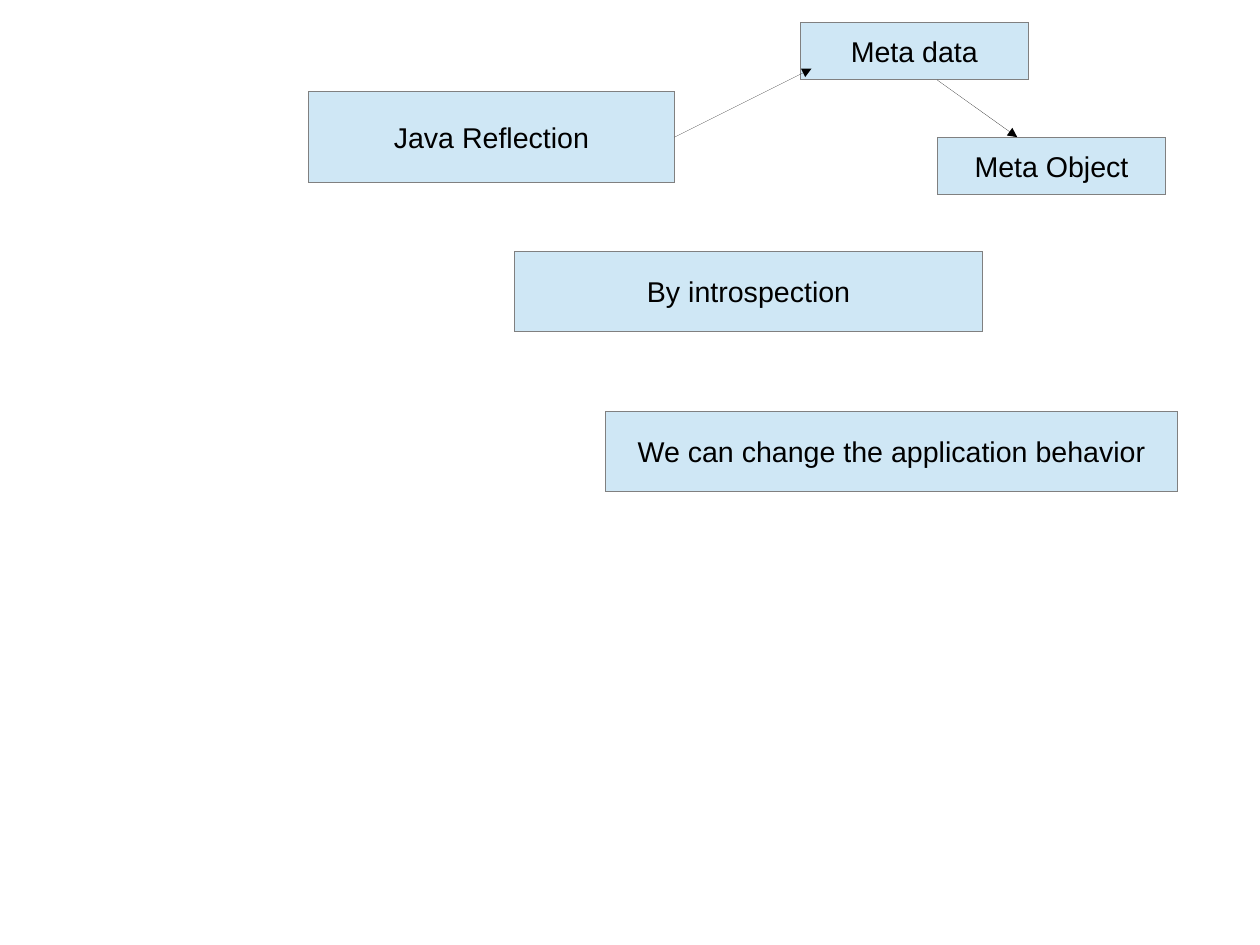
import pptx
import pptx.dml.color
import pptx.enum.shapes
import pptx.enum.text
import pptx.oxml
import pptx.oxml.ns
import pptx.util
from pptx.util import Inches

COLORS = {"fill": "CFE7F5", "edge": "808080", "ink": "000000"}
CM = 1 / 2.54


def color(name):
    return pptx.dml.color.RGBColor.from_string(COLORS[name])


def unstyle(item):
    """Drop the theme style, so that strokes are hairlines."""
    node = item._element
    node.remove(node.find(pptx.oxml.ns.qn("p:style")))


class Board:
    """Holds the style and the current slide."""

    font = "Arial"
    size = pptx.util.Pt(18)

    def __init__(self, slide):
        self.slide = slide

    def box(self, text, left, top, width, height):
        box = self.slide.shapes.add_shape(
            pptx.enum.shapes.MSO_SHAPE.RECTANGLE,
            Inches(left), Inches(top), Inches(width), Inches(height))
        unstyle(box)
        box.shadow.inherit = False
        box.fill.solid()
        box.fill.fore_color.rgb = color("fill")
        box.line.color.rgb = color("edge")
        frame = box.text_frame
        frame.word_wrap = False
        frame.vertical_anchor = pptx.enum.text.MSO_ANCHOR.MIDDLE
        frame.text = text
        para = frame.paragraphs[0]
        para.alignment = pptx.enum.text.PP_ALIGN.CENTER
        font = para.runs[0].font
        font.name = self.font
        font.size = self.size
        font.color.rgb = color("ink")
        return box

    def arrow(self, start, end):
        arrow = self.slide.shapes.add_connector(
            pptx.enum.shapes.MSO_CONNECTOR.STRAIGHT,
            *map(Inches, start + end))
        unstyle(arrow)
        arrow.line.color.rgb = color("ink")
        space = pptx.oxml.ns.nsdecls("a")
        arrow.line._get_or_add_ln().append(
            pptx.oxml.parse_xml(f'<a:tailEnd {space} type="triangle"/>'))
        arrow._element.spPr.append(
            pptx.oxml.parse_xml(f"<a:effectLst {space}/>"))
        return arrow


def main():
    deck = pptx.Presentation()
    deck.slide_width = Inches(28 * CM)
    deck.slide_height = Inches(21 * CM)
    board = Board(deck.slides.add_slide(deck.slide_layouts[6]))

    mirror = board.box("Java Reflection", 2.7, 0.8, 3.2, 0.8)
    board.box("By introspection", 4.5, 2.2, 4.1, 0.7)
    board.box("We can change the application behavior", 5.3, 3.6, 5, 0.7)
    board.box("Meta data", 7, 0.2, 2, 0.5)
    board.box("Meta Object", 8.2, 1.2, 2, 0.5)

    board.arrow((5.9, 1.2), (7.1, 0.6)).begin_connect(mirror, 3)
    board.arrow((8.2, 0.7), (8.9, 1.2))

    deck.save("out.pptx")


if __name__ == "__main__":
    main()
